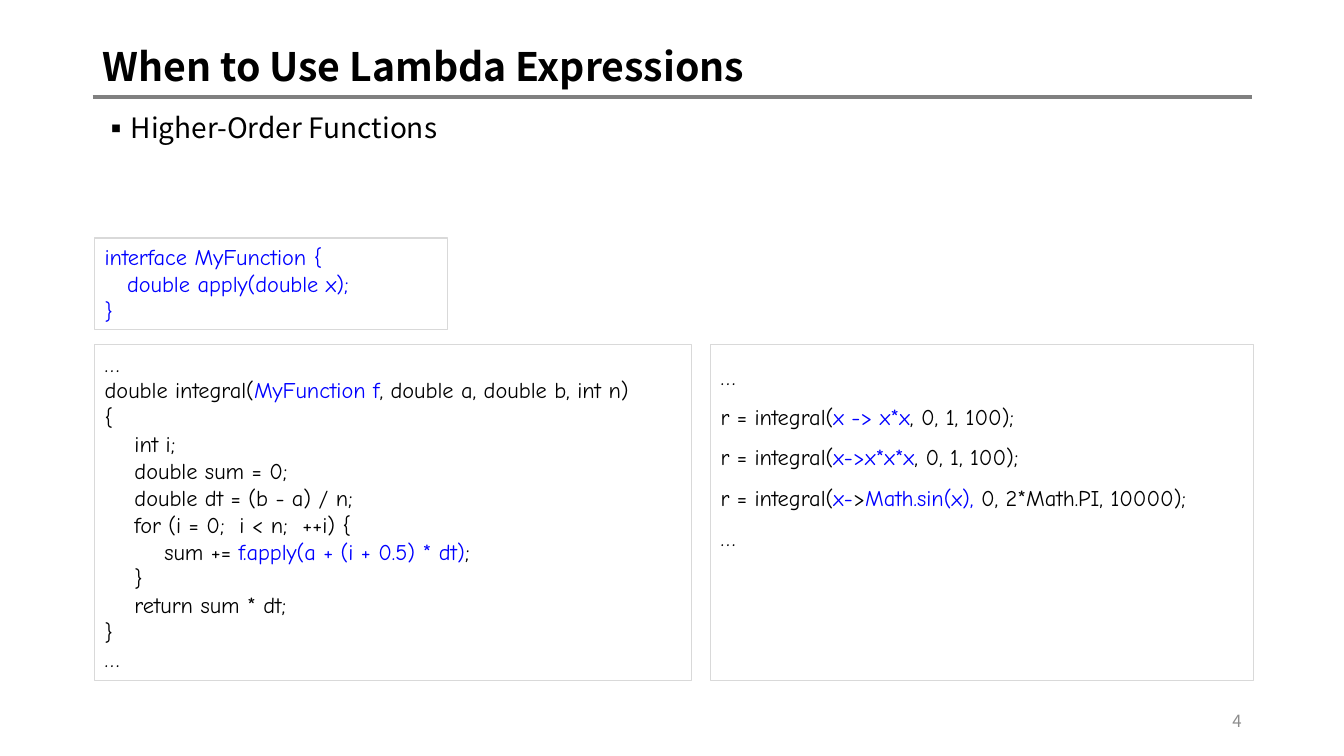
import pptx
import pptx.util
import pptx.dml.color
import pptx.enum.text
import pptx.enum.shapes
import pptx.oxml
import pptx.oxml.ns
from lxml import etree

Pt = pptx.util.Pt
qn = pptx.oxml.ns.qn
TEXT_FONT = "Noto Sans CJK KR"
CODE_FONT = "Comic Neue"
COLORS = {
    "text": "000000",
    "highlight": "0000FF",
    "border": "D9D9D9",
    "rule": "808080",
    "number": "8C8C8C",
}

# Each line alternates plain and highlighted segments.
INTERFACE = [
    ["", "interface MyFunction {"],
    ["", "   double apply(double x);"],
    ["", "}"],
]
INTEGRAL = [
    ["…"],
    ["double integral(", "MyFunction f", ", double a, double b, int n)"],
    ["{"],
    ["    int i;"],
    ["    double sum = 0;"],
    ["    double dt = (b - a) / n;"],
    ["    for (i = 0;  i < n;  ++i) {"],
    ["        sum += ", "f.apply(a + (i + 0.5) * dt)", ";"],
    ["    }"],
    ["    return sum * dt;"],
    ["}"],
    ["…"],
]
CALLS = [
    ["…"],
    ["r = integral(", "x -> x*x", ", 0, 1, 100);"],
    ["r = integral(", "x->x*x*x", ", 0, 1, 100);"],
    ["r = integral(", "x-", ">", "Math.sin(x), ", "0, 2*Math.PI, 10000);"],
    ["…"],
]


def color(name):
    return pptx.dml.color.RGBColor.from_string(COLORS[name])


def set_font(font, name, size, color_name=None, bold=False):
    font.name = name
    font.size = Pt(size)
    font.bold = bold
    if color_name:
        font.color.rgb = color(color_name)


def place(part, box):
    part.left, part.top, part.width, part.height = map(Pt, box)


def add_heading(slide, box):
    left, top, width, height = box
    title = slide.shapes.title
    place(title, box)
    frame = title.text_frame
    frame.text = "When to Use Lambda Expressions"
    frame.auto_size = pptx.enum.text.MSO_AUTO_SIZE.NONE
    frame.vertical_anchor = pptx.enum.text.MSO_ANCHOR.MIDDLE
    heading = frame.paragraphs[0]
    heading.alignment = pptx.enum.text.PP_ALIGN.LEFT
    heading.line_spacing = 0.9
    set_font(heading.font, TEXT_FONT, 28, "text", True)

    bottom = top + height
    rule = slide.shapes.add_connector(
        pptx.enum.shapes.MSO_CONNECTOR.STRAIGHT,
        Pt(left), Pt(bottom), Pt(left + width), Pt(bottom))
    rule.line.color.rgb = color("rule")
    rule.line.width = Pt(3)
    etree.SubElement(rule.line._get_or_add_ln().getparent(), qn("a:effectLst"))


def add_topic(slide, box):
    topic = slide.placeholders[1]
    place(topic, box)
    frame = topic.text_frame
    frame.text = "Higher-Order Functions"
    frame.auto_size = pptx.enum.text.MSO_AUTO_SIZE.NONE
    item = frame.paragraphs[0]
    item.line_spacing = 0.9
    item.space_before = Pt(0)
    properties = item._p.get_or_add_pPr()
    properties.set("marL", str(Pt(18)))
    properties.set("indent", str(-Pt(18)))
    etree.SubElement(properties, qn("a:buFont")).set("typeface", TEXT_FONT)
    etree.SubElement(properties, qn("a:buChar")).set("char", "▪")
    set_font(item.font, TEXT_FONT, 20, "text")


def add_code(slide, box, lines, line_spacing=1.0):
    panel = slide.shapes.add_textbox(*map(Pt, box))
    panel.line.color.rgb = color("border")
    panel.line.width = Pt(0.75)
    frame = panel.text_frame
    frame.word_wrap = True
    for index, segments in enumerate(lines):
        line = frame.paragraphs[0] if index == 0 else frame.add_paragraph()
        line.line_spacing = line_spacing
        set_font(line.font, CODE_FONT, 16)
        for position, segment in enumerate(segments):
            if segment:
                run = line.add_run()
                run.text = segment
                run.font.color.rgb = color("highlight" if position % 2 else "text")


def add_slide_number(slide, box):
    number = slide.shapes.add_textbox(*map(Pt, box))
    frame = number.text_frame
    frame.word_wrap = True
    frame.vertical_anchor = pptx.enum.text.MSO_ANCHOR.MIDDLE
    line = frame.paragraphs[0]
    line.alignment = pptx.enum.text.PP_ALIGN.RIGHT
    set_font(line.font, TEXT_FONT, 12, "number")
    line.add_run().text = "4"


def build_slide(deck):
    slide = deck.slides.add_slide(deck.slide_layouts[1])
    add_heading(slide, (66.24, 28.8, 828, 40.6))
    add_topic(slide, (66.24, 77.8, 828, 408))
    add_code(slide, (67.7, 170, 252, 65.4), INTERFACE)
    add_code(slide, (67.7, 246.2, 426, 240), INTEGRAL)
    add_code(slide, (507.6, 246.2, 388, 240), CALLS, 1.5)
    add_slide_number(slide, (678, 500.4, 216, 28.8))


def main():
    deck = pptx.Presentation()
    deck.slide_width, deck.slide_height = Pt(960), Pt(540)
    build_slide(deck)
    deck.save("out.pptx")


if __name__ == "__main__":
    main()
